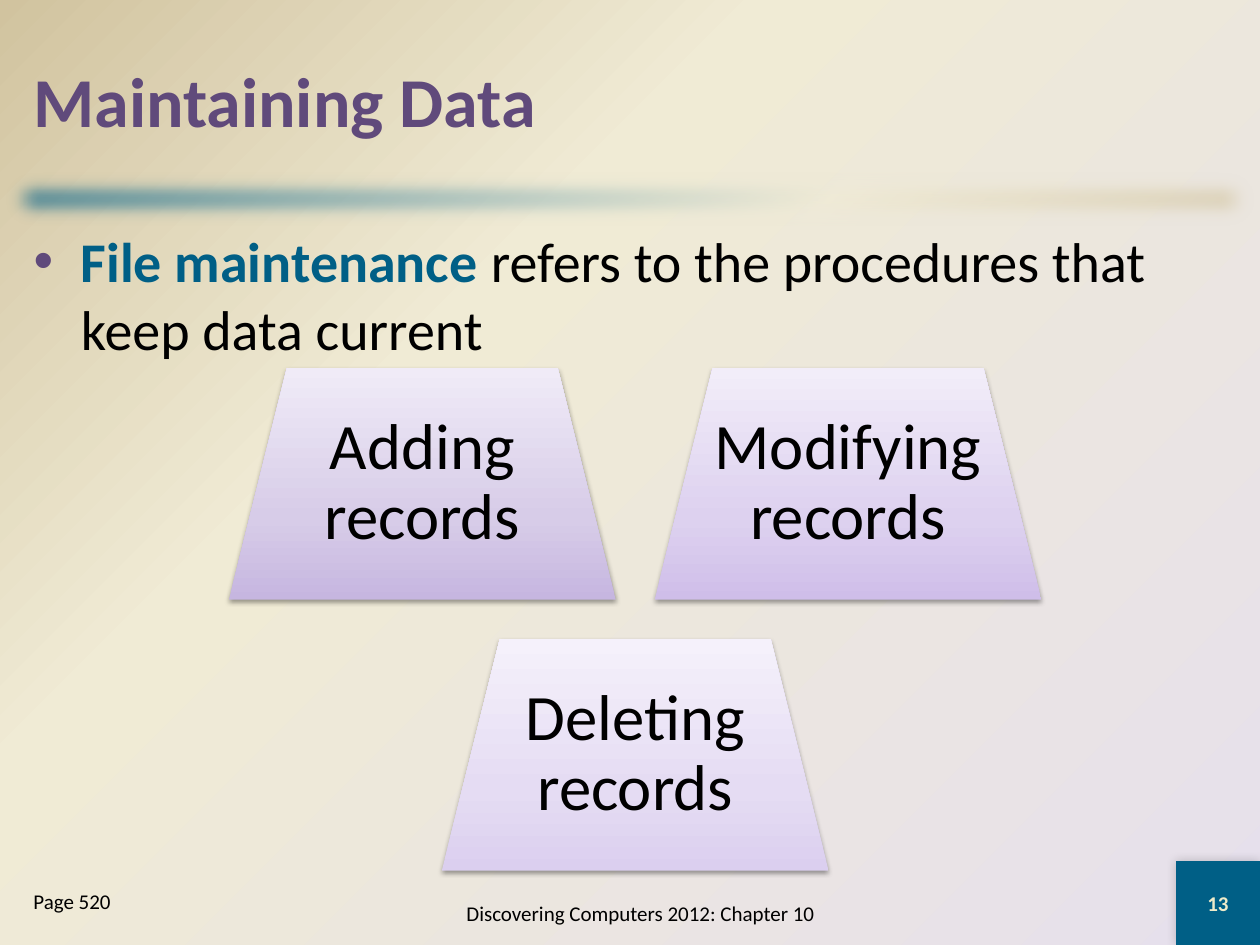
from lxml import etree
from pptx import Presentation
from pptx.dml.color import RGBColor
from pptx.enum import shapes, text
from pptx.oxml.ns import qn
from pptx.util import Pt

BLACK = RGBColor(0x00, 0x00, 0x00)
BLUE = RGBColor(0x00, 0x5F, 0x86)
PURPLE = RGBColor(0x60, 0x4A, 0x7B)
CREAM = RGBColor(0xEE, 0xEB, 0xCA)
SAND = RGBColor(0xF0, 0xEB, 0xD5)
TAN = RGBColor(0xD1, 0xC3, 0x9F)
LILAC = RGBColor(0xE6, 0xE0, 0xEC)

# Gradients of the three steps, from the bottom of the shape to its top
STEP_STOPS = (0, 35, 100)
STEPS = [
    ("Adding records", (RGBColor(0xC6, 0xB6, 0xE0), RGBColor(0xD7, 0xCC, 0xE8),
                        RGBColor(0xF0, 0xEB, 0xF7))),
    ("Modifying records", (RGBColor(0xCF, 0xBE, 0xE9), RGBColor(0xDD, 0xD1, 0xEF),
                           RGBColor(0xF2, 0xED, 0xF9))),
    ("Deleting records", (RGBColor(0xDB, 0xCF, 0xEF), RGBColor(0xE5, 0xDC, 0xF3),
                          RGBColor(0xF5, 0xF1, 0xFB))),
]
STEP_WIDTH, STEP_HEIGHT, STEP_GAP = 221, 132.5, 22.3
STEP_CENTER, STEP_TOP, STEPS_PER_ROW = 363, 210.2, 2


def add_element(parent, tag, **attributes):
    element = etree.SubElement(parent, qn(tag))
    for name, value in attributes.items():
        element.set(name, str(value))
    return element


class SlideBuilder:
    font = "Calibri"

    def __init__(self, slide):
        self.slide = slide

    def gradient(self, fill, owner, stops, angle=None):
        """Fill with (percent, colour) stops; without an angle, circles from bottom right."""
        fill.gradient()
        gradient = owner.find(".//" + qn("a:gradFill"))
        for child in list(gradient):
            gradient.remove(child)
        stop_list = add_element(gradient, "a:gsLst")
        for percent, color in stops:
            stop = add_element(stop_list, "a:gs", pos=percent * 1000)
            add_element(stop, "a:srgbClr", val=color)
        if angle is None:
            path = add_element(gradient, "a:path", path="circle")
            add_element(path, "a:fillToRect", l=100000, t=100000)
        else:
            add_element(gradient, "a:lin", ang=angle * 60000, scaled=0)

    def background(self, stops):
        self.gradient(self.slide.background.fill, self.slide._element, stops)

    def shape(self, kind, box, color=None, stops=None, angle=0):
        shape = self.slide.shapes.add_shape(kind, *map(Pt, box))
        shape.shadow.inherit = False
        shape.line.fill.background()
        if stops:
            self.gradient(shape.fill, shape._element, stops, angle)
        else:
            shape.fill.solid()
            shape.fill.fore_color.rgb = color
        return shape

    def effect(self, shape, tag, **attributes):
        effects = shape._element.spPr.find(qn("a:effectLst"))
        return add_element(effects, tag, **attributes)

    def shadow(self, shape, opacity, blur, distance, angle):
        shadow = self.effect(shape, "a:outerShdw", blurRad=Pt(blur), dist=Pt(distance),
                             dir=angle * 60000, rotWithShape=0)
        color = add_element(shadow, "a:srgbClr", val=BLACK)
        add_element(color, "a:alpha", val=opacity * 1000)

    def format_run(self, run, size, color, bold=False):
        run.font.name = self.font
        run.font.size = Pt(size)
        run.font.color.rgb = color
        run.font.bold = bold

    def text(self, content, box, size, color=BLACK, bold=False, inset=None,
             align=text.PP_ALIGN.CENTER, anchor=text.MSO_ANCHOR.MIDDLE, spacing=None):
        frame = self.slide.shapes.add_textbox(*map(Pt, box)).text_frame
        frame.word_wrap = True
        frame.vertical_anchor = anchor
        if inset is not None:
            frame.margin_left = frame.margin_right = Pt(inset)
            frame.margin_top = frame.margin_bottom = Pt(inset)
        frame.text = content
        paragraph = frame.paragraphs[0]
        paragraph.alignment = align
        if spacing:
            paragraph.line_spacing = spacing
        self.format_run(paragraph.runs[0], size, color, bold)

    def place(self, placeholder, box, anchor):
        placeholder.left, placeholder.top, placeholder.width, placeholder.height = map(Pt, box)
        frame = placeholder.text_frame
        frame.auto_size = text.MSO_AUTO_SIZE.NONE
        frame.word_wrap = True
        frame.vertical_anchor = anchor
        return frame

    def title(self, content, box):
        frame = self.place(self.slide.shapes.title, box, text.MSO_ANCHOR.MIDDLE)
        frame.text = content
        frame.paragraphs[0].alignment = text.PP_ALIGN.LEFT
        self.format_run(frame.paragraphs[0].runs[0], 40, PURPLE, bold=True)

    def definition(self, term, meaning, box):
        """Write one bullet that opens with a highlighted term."""
        frame = self.place(self.slide.placeholders[1], box, text.MSO_ANCHOR.TOP)
        paragraph = frame.paragraphs[0]
        paragraph.space_before = Pt(0)
        properties = paragraph._p.get_or_add_pPr()
        properties.set("marL", str(Pt(27)))
        properties.set("indent", str(Pt(-27)))
        add_element(add_element(properties, "a:buClr"), "a:srgbClr", val=PURPLE)
        add_element(properties, "a:buFont", typeface="Arial")
        add_element(properties, "a:buChar", char="•")
        for content, color, bold in ((term, BLUE, True), (meaning, BLACK, False)):
            run = paragraph.add_run()
            run.text = content
            self.format_run(run, 32, color, bold)

    def step(self, label, colors, box):
        trapezoid = self.shape(shapes.MSO_SHAPE.TRAPEZOID, box,
                               stops=zip(STEP_STOPS, colors), angle=270)
        self.shadow(trapezoid, 38, 3.1, 1.6, 90)
        self.text(label, box, 37, inset=11, spacing=0.9)


def main():
    presentation = Presentation()
    presentation.slide_width, presentation.slide_height = Pt(720), Pt(540)
    slide = presentation.slides.add_slide(presentation.slide_layouts[1])
    builder = SlideBuilder(slide)

    builder.background([(0, LILAC), (65, SAND), (100, TAN)])
    bar = builder.shape(shapes.MSO_SHAPE.RECTANGLE, (0, 96, 720, 36),
                        stops=[(0, BLUE), (65, SAND), (100, TAN)], angle=45)
    builder.effect(bar, "a:softEdge", rad=Pt(12.7))
    number_box = (672, 492, 48, 48)
    number_square = builder.shape(shapes.MSO_SHAPE.RECTANGLE, number_box, BLUE)
    builder.shadow(number_square, 20, 6, 0, 225)

    builder.title("Maintaining Data", (12, 12, 696, 90))
    builder.definition("File maintenance ", "refers to the procedures that keep data current",
                       (12, 126, 696, 366))

    builder.text("Discovering Computers 2012: Chapter 10", (216, 504, 300, 36), 12)
    builder.text("13", number_box, 12, CREAM, bold=True)
    builder.text("Page 520", (12, 504, 132, 36), 12,
                 align=text.PP_ALIGN.LEFT, anchor=text.MSO_ANCHOR.TOP)

    for index, (label, colors) in enumerate(STEPS):
        row, column = divmod(index, STEPS_PER_ROW)
        in_row = min(STEPS_PER_ROW, len(STEPS) - row * STEPS_PER_ROW)
        row_width = in_row * STEP_WIDTH + (in_row - 1) * STEP_GAP
        left = STEP_CENTER - row_width / 2 + column * (STEP_WIDTH + STEP_GAP)
        top = STEP_TOP + row * (STEP_HEIGHT + STEP_GAP)
        builder.step(label, colors, (left, top, STEP_WIDTH, STEP_HEIGHT))

    presentation.save("out.pptx")


if __name__ == "__main__":
    main()
